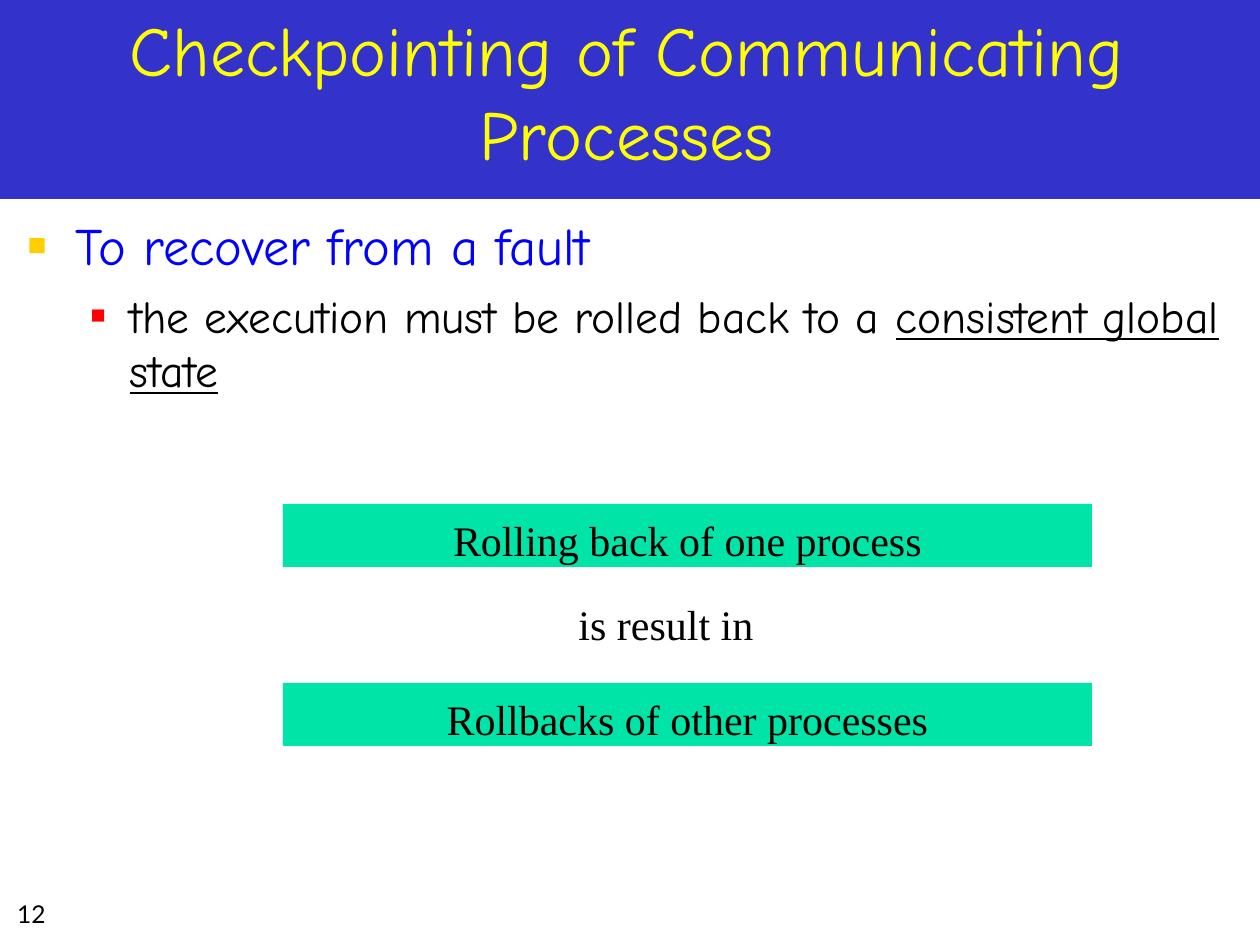
"""Build the slide on checkpointing of communicating processes."""
import lxml.etree
import pptx
import pptx.dml.color
import pptx.enum.shapes
import pptx.enum.text
import pptx.oxml.ns
import pptx.util

RGB = pptx.dml.color.RGBColor
BLUE = RGB(0x33, 0x33, 0xCC)
YELLOW = RGB(0xFF, 0xFF, 0x00)
INK = RGB(0x00, 0x00, 0xFF)
BLACK = RGB(0x00, 0x00, 0x00)
GREEN = RGB(0x00, 0xE4, 0xA8)
GOLD = RGB(0xFF, 0xCF, 0x01)
RED = RGB(0xFF, 0x00, 0x00)
COMIC, SERIF, SANS = "Comic Neue", "Times New Roman", "Lato"
ALIGN = pptx.enum.text.PP_ALIGN
ANCHOR = pptx.enum.text.MSO_ANCHOR


def px(num):
    return pptx.util.Emu(round(num * 914400 / 126))


def write(para, text, size, font, color=BLACK, line=None, align=None):
    run = para.add_run()
    run.text = text
    run.font.size = pptx.util.Pt(size)
    run.font.name = font
    run.font.color.rgb = color
    run.font.underline = line
    if align is not None:
        para.alignment = align


def place(shape, box):
    shape.left, shape.top, shape.width, shape.height = map(px, box)


def setup(frame, anchor=ANCHOR.TOP, wrap=True):
    frame.auto_size = pptx.enum.text.MSO_AUTO_SIZE.NONE
    frame.word_wrap = wrap
    frame.vertical_anchor = anchor


def block(slide, box, color):
    kind = pptx.enum.shapes.MSO_SHAPE.RECTANGLE
    shape = slide.shapes.add_shape(kind, *map(px, box))
    shape.shadow.inherit = False
    shape.fill.solid()
    shape.fill.fore_color.rgb = color
    shape.line.fill.background()
    return shape


def label(shape, text):
    frame = shape.text_frame
    setup(frame)
    frame.margin_top, frame.margin_bottom = px(11), 0
    write(frame.paragraphs[0], text, 24, SERIF, align=ALIGN.CENTER)


def bullet(para, left, hang, color, size):
    props = para._p.get_or_add_pPr()
    props.set("marL", str(px(left)))
    props.set("indent", str(-px(hang)))
    name = pptx.oxml.ns.qn
    tint = lxml.etree.SubElement(props, name("a:buClr"))
    lxml.etree.SubElement(tint, name("a:srgbClr"), val=str(color))
    lxml.etree.SubElement(props, name("a:buSzPct"), val=str(size * 1000))
    lxml.etree.SubElement(props, name("a:buFont"), typeface="Arial")
    lxml.etree.SubElement(props, name("a:buChar"), char="■")


def head(slide):
    band = block(slide, (0, 0, 1260, 199), BLUE)
    slide.shapes.element.insert(2, band.element)
    title = slide.shapes.title
    place(title, (21, 21, 1211, 160))
    setup(title.text_frame, ANCHOR.BOTTOM)
    write(title.text_frame.paragraphs[0],
          "Checkpointing of Communicating Processes",
          40, COMIC, YELLOW, align=ALIGN.CENTER)


def points(slide):
    body = slide.placeholders[1]
    place(body, (15, 207, 1217, 728))
    frame = body.text_frame
    setup(frame)
    first = frame.paragraphs[0]
    bullet(first, 48, 48, GOLD, 60)
    first.space_before = pptx.util.Pt(0)
    write(first, "To recover from a fault", 30, COMIC, INK)
    second = frame.add_paragraph()
    second.level = 1
    bullet(second, 102, 39, RED, 55)
    second.space_before = pptx.util.Pt(6.5)
    write(second, "the execution must be rolled back to a ", 26, COMIC)
    write(second, "consistent global state", 26, COMIC, line=True)


def number(slide):
    box = slide.shapes.add_textbox(*map(px, (-41, 893, 145, 47)))
    setup(box.text_frame, wrap=False)
    write(box.text_frame.paragraphs[0], "12", 14, SANS, align=ALIGN.CENTER)


def main():
    deck = pptx.Presentation()
    deck.slide_width, deck.slide_height = px(1260), px(945)
    slide = deck.slides.add_slide(deck.slide_layouts[1])
    head(slide)
    points(slide)
    label(block(slide, (283, 504, 809, 63), GREEN),
          "Rolling back of one process")
    label(slide.shapes.add_textbox(*map(px, (535, 588, 262, 63))),
          "is result in")
    label(block(slide, (283, 683, 809, 63), GREEN),
          "Rollbacks of other processes")
    number(slide)
    deck.save("out.pptx")


if __name__ == "__main__":
    main()
